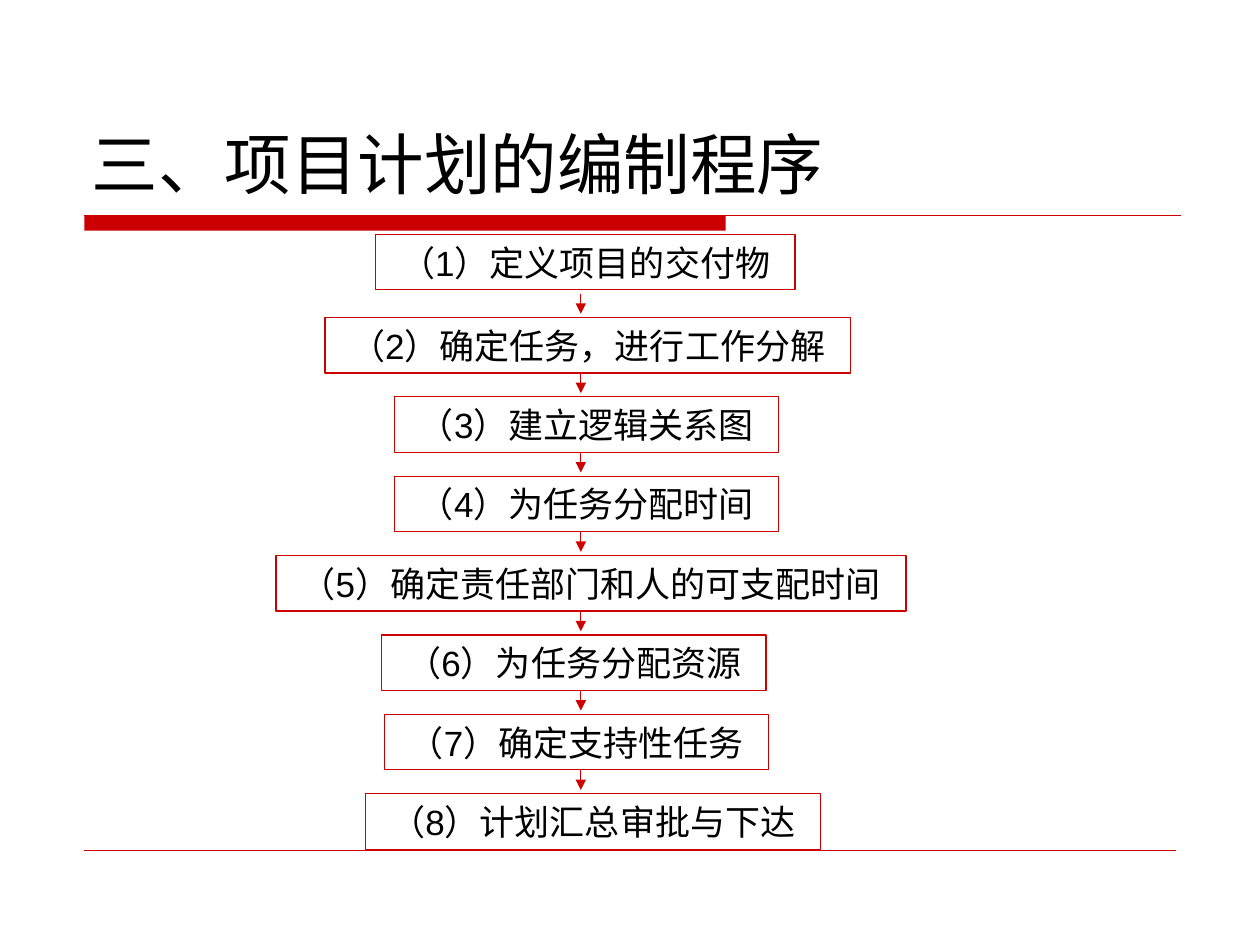
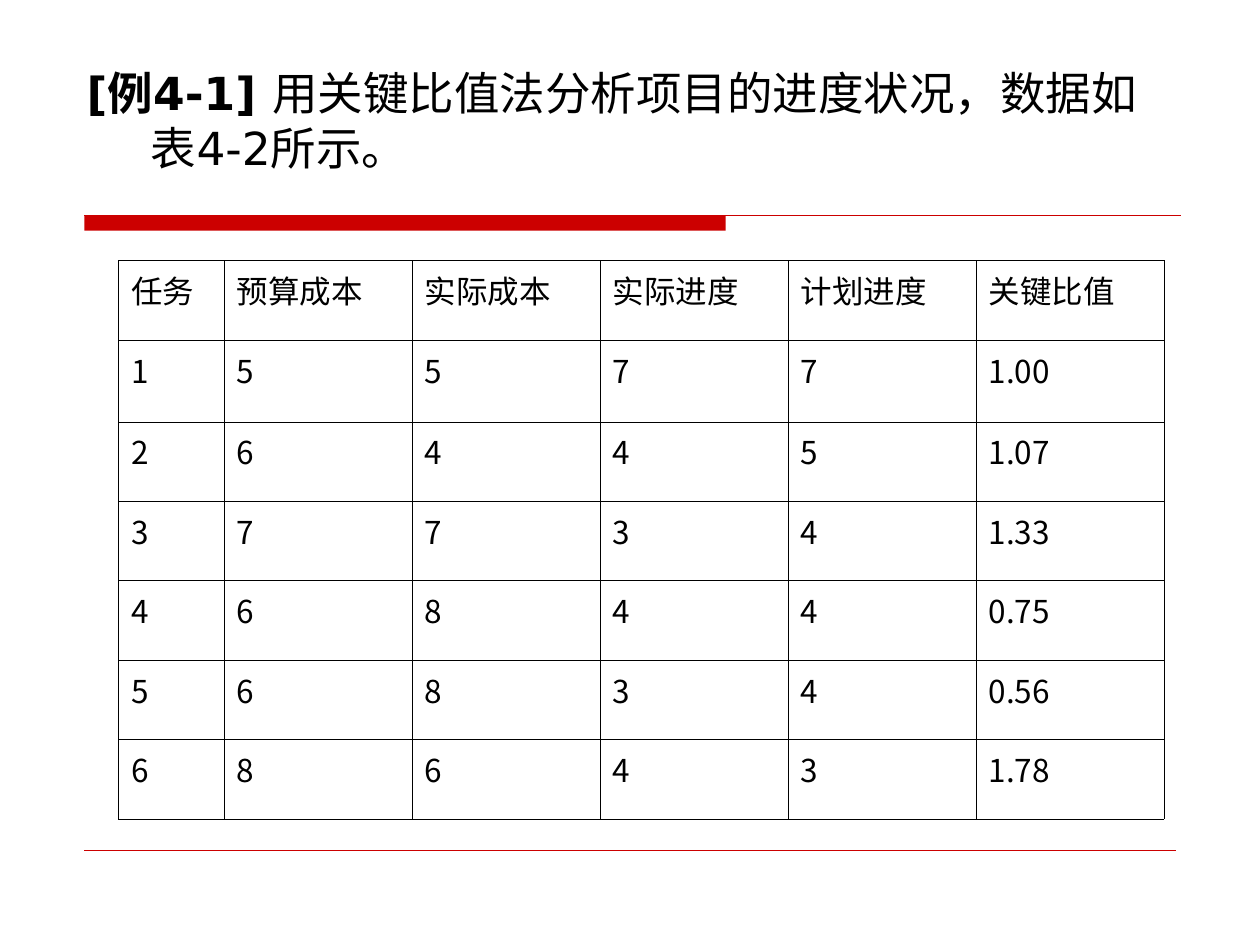
from lxml import etree
from pptx import Presentation
from pptx.dml.color import RGBColor
from pptx.enum.shapes import MSO_CONNECTOR, MSO_SHAPE
from pptx.enum.text import MSO_ANCHOR, PP_ALIGN
from pptx.oxml.ns import qn
from pptx.util import Inches, Pt

RED = "CC0000"
BLACK = "000000"
HEADING_FONT = "DejaVu Sans"
STEP_FONT = "Arial"
TABLE_FONT = "Noto Sans CJK SC"

# Text, left and width of each step box
STEPS = [
    ("（1）定义项目的交付物", 2.98, 3.33),
    ("（2）确定任务，进行工作分解", 2.58, 4.17),
    ("（3）建立逻辑关系图", 3.13, 3.05),
    ("（4）为任务分配时间", 3.13, 3.05),
    ("（5）确定责任部门和人的可支配时间", 2.19, 5),
    ("（6）为任务分配资源", 3.03, 3.05),
    ("（7）确定支持性任务", 3.05, 3.05),
    ("（8）计划汇总审批与下达", 2.9, 3.61),
]

RATIO_ROWS = [
    ("任务", "预算成本", "实际成本", "实际进度", "计划进度", "关键比值"),
    ("1", "5", "5", "7", "7", "1.00"),
    ("2", "6", "4", "4", "5", "1.07"),
    ("3", "7", "7", "3", "4", "1.33"),
    ("4", "6", "8", "4", "4", "0.75"),
    ("5", "6", "8", "3", "4", "0.56"),
    ("6", "8", "6", "4", "3", "1.78"),
]


def color(hex_code):
    return RGBColor.from_string(hex_code)


def set_font(para, name, size):
    font = para.font
    font.name = name
    font.size = Pt(size)
    font.color.rgb = color(BLACK)
    # The same typeface serves Chinese characters
    properties = para._p.pPr.find(qn("a:defRPr"))
    etree.SubElement(properties, qn("a:ea"), typeface=name)


def add_line(page, start, end, width, arrow=False):
    line = page.shapes.add_connector(
        MSO_CONNECTOR.STRAIGHT, *(Inches(value) for value in start + end))
    line.line.color.rgb = color(RED)
    line.line.width = Pt(width)
    if arrow:
        etree.SubElement(line.line._get_or_add_ln(), qn("a:tailEnd"), type="triangle")
    etree.SubElement(line._element.spPr, qn("a:effectLst"))


def add_rectangle(page, left, top, width, height):
    box = page.shapes.add_shape(
        MSO_SHAPE.RECTANGLE, Inches(left), Inches(top), Inches(width), Inches(height))
    box.shadow.inherit = False
    return box


def add_heading(page, left, top, width, height, anchor):
    box = page.shapes.add_textbox(
        Inches(left), Inches(top), Inches(width), Inches(height))
    box.text_frame.word_wrap = True
    box.text_frame.vertical_anchor = anchor
    return box.text_frame.paragraphs[0]


def add_page(deck):
    """Blank page with the red band and the footer rule."""
    page = deck.slides.add_slide(deck.slide_layouts[6])
    left, band_top = 0.67, 1.71
    add_line(page, (left, 6.75), (9.33, 6.75), 0.25)
    band = add_rectangle(page, left, band_top, 5.09, 0.12)
    band.fill.solid()
    band.fill.fore_color.rgb = color(RED)
    band.line.fill.background()
    add_line(page, (left, band_top), (9.37, band_top), 0.75)
    return page


def add_step(page, text, left, top, width, height):
    box = add_rectangle(page, left, top, width, height)
    box.fill.background()
    box.line.color.rgb = color(RED)
    box.line.width = Pt(0.75)
    frame = box.text_frame
    frame.word_wrap = False
    frame.vertical_anchor = MSO_ANCHOR.MIDDLE
    para = frame.paragraphs[0]
    para.text = text
    para.alignment = PP_ALIGN.CENTER
    set_font(para, STEP_FONT, 20)


def add_flow(page, top, height=0.44, pitch=0.63, arrow_x=4.61):
    """Column of step boxes; the first one sits slightly higher."""
    first_lift = 0.03
    for index, (text, left, width) in enumerate(STEPS):
        step_top = top + index * pitch
        box_top = step_top if index else step_top - first_lift
        add_step(page, text, left, box_top, width, height)
        if index:
            add_line(page, (arrow_x, step_top - 0.19), (arrow_x, step_top - 0.03),
                     0.75, arrow=True)


def set_borders(cell):
    properties = cell._tc.get_or_add_tcPr()
    for index, side in enumerate(("lnL", "lnR", "lnT", "lnB")):
        border = etree.Element(qn("a:" + side), w=str(Pt(0.45)))
        fill = etree.SubElement(border, qn("a:solidFill"))
        etree.SubElement(fill, qn("a:srgbClr"), val=BLACK)
        properties.insert(index, border)


def add_ratio_table(page, left, top, width, height):
    table = page.shapes.add_table(
        len(RATIO_ROWS), len(RATIO_ROWS[0]),
        Inches(left), Inches(top), Inches(width), Inches(height)).table
    table.first_row = False
    table.horz_banding = False
    task_width = 0.84
    value_width = (width - task_width) / (len(RATIO_ROWS[0]) - 1)
    for index, column in enumerate(table.columns):
        column.width = Inches(value_width if index else task_width)
    for index, row in enumerate(table.rows):
        row.height = Inches(0.65 if index == 1 else 0.63)
    for row, values in zip(table.rows, RATIO_ROWS):
        for cell, value in zip(row.cells, values):
            cell.fill.background()
            set_borders(cell)
            para = cell.text_frame.paragraphs[0]
            para.text = value
            set_font(para, TABLE_FONT, 18)


def build_procedure_page(deck):
    page = add_page(deck)
    title = add_heading(page, 0.63, 0.33, 8.75, 1.33, MSO_ANCHOR.BOTTOM)
    title.text = "三、项目计划的编制程序"
    set_font(title, HEADING_FONT, 38)
    add_flow(page, top=1.89)


def build_ratio_page(deck):
    page = add_page(deck)
    example = add_heading(page, 0.59, 0.47, 8.74, 1.23, MSO_ANCHOR.TOP)
    # Hanging indent
    properties = example._p.get_or_add_pPr()
    properties.set("marL", str(Inches(0.51)))
    properties.set("indent", str(Inches(-0.51)))
    for text, bold in (("[例4-1] ", True),
                       ("用关键比值法分析项目的进度状况，数据如表4-2所示。", False)):
        span = example.add_run()
        span.text = text
        span.font.bold = bold
    set_font(example, HEADING_FONT, 26)
    add_ratio_table(page, 0.94, 2.07, 8.3, 4.43)


def main():
    deck = Presentation()
    deck.slide_width = Inches(10)
    deck.slide_height = Inches(7.5)
    build_procedure_page(deck)
    build_ratio_page(deck)
    deck.save("out.pptx")


if __name__ == "__main__":
    main()
